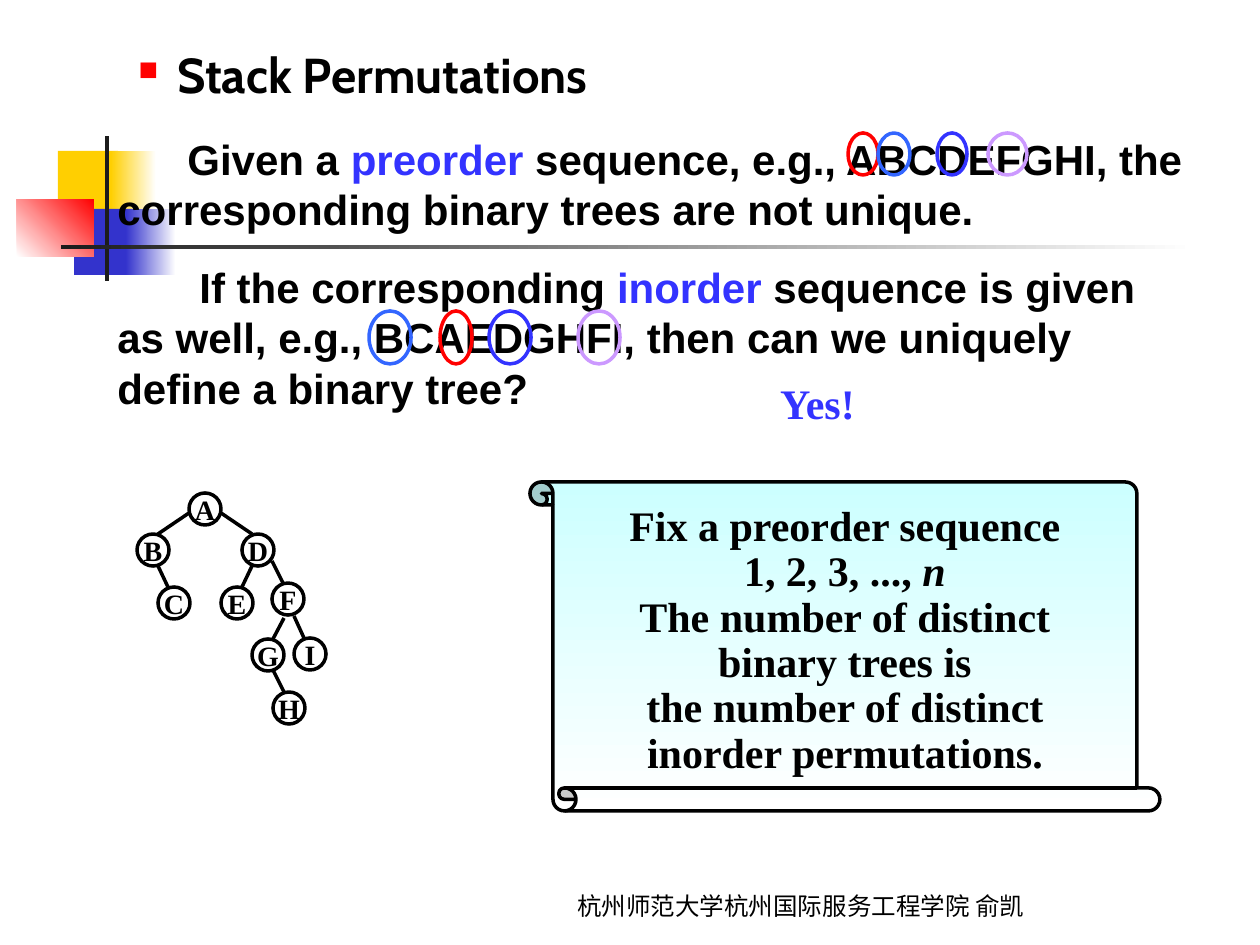
"""Builds the Stack Permutations slide: two sequences, their binary tree and a conclusion scroll."""
from lxml import etree
from pptx import Presentation, util as u
from pptx.dml.color import RGBColor
from pptx.enum import shapes, text
from pptx.oxml.ns import qn

PX = u.Inches(1) / 126
KIND = shapes.MSO_SHAPE
MID, TOP, BOTTOM = text.MSO_ANCHOR.MIDDLE, text.MSO_ANCHOR.TOP, text.MSO_ANCHOR.BOTTOM
CENTER = text.PP_ALIGN.CENTER
BLACK, BLUE, RED = "000000", "3333FF", "FF0000"

BLOCKS = [
    (KIND.RECTANGLE, (58, 151, 60, 66), ["FFCF01"], 0),
    (KIND.RECTANGLE, (111, 151, 45, 66), ["FFCF01", "FFFFFF"], 0),
    (KIND.RECTANGLE, (74, 209, 58, 66), ["3333CC"], 0),
    (KIND.RECTANGLE, (126, 209, 50, 66), ["3333CC", "FFFFFF"], 0),
    (KIND.RECTANGLE, (17, 199, 77, 58), ["FFFFFF", RED], 45),
    (KIND.RECTANGLE, (105, 136, 4, 145), ["1C1C1C"], 0),
    (KIND.RECTANGLE, (61, 245, 1134, 4), ["1C1C1C", "FFFFFF"], 0),
]

ARIAL = {"size": u.Pt(24), "name": "Arial", "bold": True}
TIMES = {"size": u.Pt(24), "name": "Times New Roman", "bold": True}
NODE = {**TIMES, "size": u.Pt(16)}
TITLE = {"size": u.Pt(28), "name": "Cabin", "bold": True}
FOOT = {"size": u.Pt(14), "name": "Cabin"}

TITLE_LINE = [[("Stack Permutations", BLACK)]]
QUESTIONS = [
    ((105, 127, 1090, 113), 70, [
        ("Given a ", BLACK), ("preorder ", BLUE),
        ("sequence, e.g., ABCDEFGHI, the corresponding binary trees are not unique.", BLACK)]),
    ((105, 255, 1061, 164), 82, [
        ("If the corresponding ", BLACK), ("inorder", BLUE),
        (" sequence is given as well, e.g., BCAEDGHFI, then can we uniquely define a binary tree?",
         BLACK)]),
]
ANSWER = [[("Yes!", BLUE)]]
FOOTER = [[("杭州师范大学杭州国际服务工程学院 俞凯", BLACK)]]
CONCLUSION = [[(line, BLACK)] for line in (
    "Fix a preorder sequence", "1, 2, 3, ..., ", "The number of distinct",
    "binary trees is", "the number of distinct", "inorder permutations.")]
CONCLUSION[1].append(("n", BLACK))

PREORDER_MARKS = (133, 42, [(848, 30, RED), (878, 32, "3366FF"), (937, 30, BLUE), (988, 39, "CC99FF")])
INORDER_MARKS = (311, 53, [(440, 32, RED), (369, 42, "3366FF"), (489, 42, BLUE), (578, 42, "CC99FF")])

NODES = {"A": (189, 493), "B": (137, 534), "C": (158, 587), "D": (242, 534), "E": (221, 587),
         "F": (272, 583), "G": (252, 639), "I": (294, 638), "H": (273, 692)}
EDGES = {"AB": (189, 513, 158, 534), "AD": (221, 513, 252, 534), "BC": (158, 566, 168, 587),
         "DE": (252, 566, 242, 587), "DF": (272, 561, 283, 583), "FG": (284, 618, 273, 639),
         "FI": (294, 616, 304, 638), "GH": (273, 670, 284, 692)}
NODE_SIZE = 32


def emu(values):
    return [round(value * PX) for value in values]


def color(hex_value):
    return RGBColor.from_string(hex_value)


def paint(shape, fills, angle=0):
    if not fills:
        shape.fill.background()
    elif len(fills) == 1:
        shape.fill.solid()
        shape.fill.fore_color.rgb = color(fills[0])
    else:
        shape.fill.gradient()
        shape.fill.gradient_angle = angle
        for position, (stop, hue) in enumerate(zip(shape.fill.gradient_stops, fills)):
            stop.color.rgb = color(hue)
            stop.position = position


def draw(slide, kind, place, fills=(), angle=0, line=None):
    shape = slide.shapes.add_shape(kind, *emu(place))
    shape.shadow.inherit = False
    paint(shape, fills, angle)
    if line:
        shape.line.color.rgb = color(line)
        shape.line.width = u.Pt(2)
    else:
        shape.line.fill.background()
    return shape


def write(shape, lines, style, anchor=MID, wrap=False, **layout):
    frame = shape.text_frame
    frame.word_wrap, frame.vertical_anchor = wrap, anchor
    for index, runs in enumerate(lines):
        paragraph = frame.add_paragraph() if index else frame.paragraphs[0]
        for key, value in layout.items():
            setattr(paragraph, key, value)
        for words, hue in runs:
            run = paragraph.add_run()
            run.text = words
            run.font.color.rgb = color(hue)
            for key, value in style.items():
                setattr(run.font, key, value)
    return frame


def label(slide, place, *content, **layout):
    return write(slide.shapes.add_textbox(*emu(place)), *content, **layout)


def indent(paragraph, left, first):
    props = paragraph._p.get_or_add_pPr()
    for key, value in zip(("marL", "indent"), emu((left, first))):
        props.set(key, str(value))
    return props


def connect(slide, ends):
    edge = slide.shapes.add_connector(shapes.MSO_CONNECTOR.STRAIGHT, *emu(ends))
    edge.line.color.rgb = color(BLACK)
    edge.line.width = u.Pt(2)
    etree.SubElement(edge._element.spPr, qn("a:effectLst"))


def main():
    deck = Presentation()
    deck.slide_width, deck.slide_height = emu((1260, 945))
    slide = deck.slides.add_slide(deck.slide_layouts[6])

    for block in BLOCKS:
        draw(slide, *block)
    label(slide, (512, 885, 578, 42), FOOTER, FOOT, BOTTOM, True, alignment=CENTER)

    title = label(slide, (63, 38, 1134, 79), TITLE_LINE, TITLE, TOP, True)
    props = indent(title.paragraphs[0], 102, -39)
    hue = etree.SubElement(props, qn("a:buClr"))
    etree.SubElement(hue, qn("a:srgbClr"), val=RED)
    etree.SubElement(props, qn("a:buSzPct"), val="55000")
    etree.SubElement(props, qn("a:buChar"), char="■")

    for place, first, runs in QUESTIONS:
        question = label(slide, place, [runs], ARIAL, TOP, True, line_spacing=u.Pt(28.9))
        indent(question.paragraphs[0], 0, first)
    for top, height, marks in (PREORDER_MARKS, INORDER_MARKS):
        for left, width, hue in marks:
            draw(slide, KIND.OVAL, (left, top, width, height), line=hue)

    for ends in EDGES.values():
        connect(slide, ends)
    for letter, (left, top) in NODES.items():
        node = draw(slide, KIND.OVAL, (left, top, NODE_SIZE, NODE_SIZE), line=BLACK)
        write(node, [[(letter, BLACK)]], NODE, alignment=CENTER)

    label(slide, (748, 371, 139, 63), ANSWER, TIMES, alignment=CENTER)
    scroll = draw(slide, KIND.VERTICAL_SCROLL, (530, 482, 630, 329), ["FFFFFF", "CCFFFF"], 270, BLACK)
    scroll.adjustments[0] = 0.07
    scroll._element.spPr.find(qn("a:xfrm")).set("flipV", "1")
    conclusion = write(scroll, CONCLUSION, TIMES, alignment=CENTER, line_spacing=u.Pt(25.9))
    conclusion._txBody.find(qn("a:bodyPr")).set("rot", "10800000")
    conclusion.paragraphs[1].runs[1].font.italic = True

    deck.save("out.pptx")


if __name__ == "__main__":
    main()
